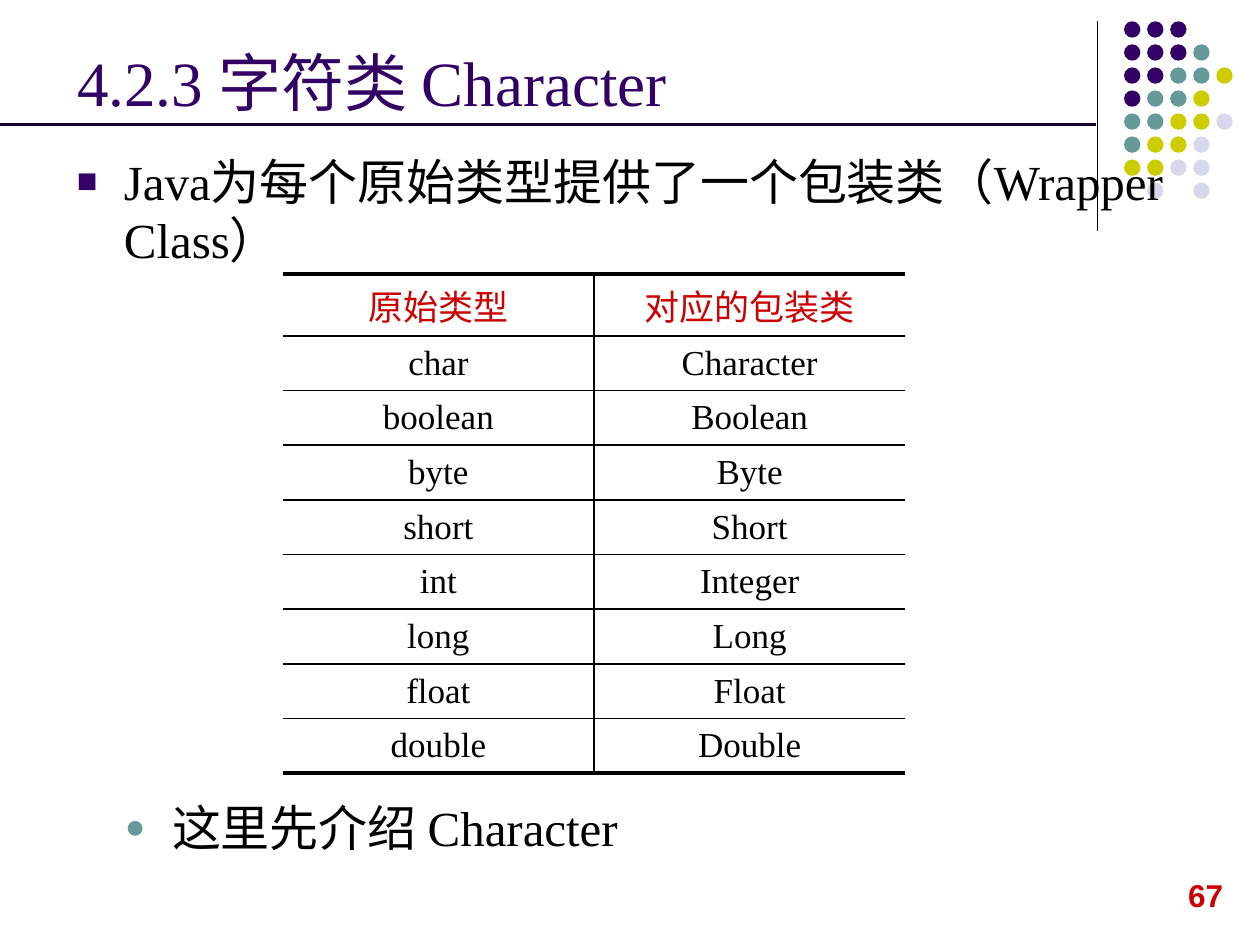
import lxml.etree
import pptx
import pptx.dml.color
import pptx.enum.shapes
import pptx.enum.text
import pptx.oxml.ns
import pptx.util

Cm = pptx.util.Cm
Pt = pptx.util.Pt
SERIF = "Times New Roman"
PURPLE, TEAL, OLIVE, LILAC = "330066", "669999", "CCCC00", "D8D8EC"
BLACK, RED = "000000", "CC0000"
DOT_COLOURS = {"P": PURPLE, "T": TEAL, "O": OLIVE, "L": LILAC}
DOT_ROWS = ["PPP", "PPPT", "PPTTO", "PTTO", "TTOOL", "TOOL", "OOLL", " L L"]
WRAPPERS = [
    ("原始类型", "对应的包装类"),
    ("char", "Character"),
    ("boolean", "Boolean"),
    ("byte", "Byte"),
    ("short", "Short"),
    ("int", "Integer"),
    ("long", "Long"),
    ("float", "Float"),
    ("double", "Double"),
]


def colour(value):
    """Turn a hex string into a colour."""
    return pptx.dml.color.RGBColor.from_string(value)


def add_element(parent, tag, **attributes):
    """Append a drawing element and return it."""
    element = lxml.etree.SubElement(parent, pptx.oxml.ns.qn(tag))
    for name, value in attributes.items():
        element.set(name, str(value))
    return element


def add_run(paragraph, text, size, value, font=SERIF, bold=False):
    """Add one formatted run."""
    run = paragraph.add_run()
    run.text = text
    run.font.name = font
    run.font.size = Pt(size)
    run.font.bold = bold
    run.font.color.rgb = colour(value)


def add_line(slide, start, end, value, width):
    """Draw a straight line without a shadow."""
    line = slide.shapes.add_connector(
        pptx.enum.shapes.MSO_CONNECTOR.STRAIGHT, *map(Cm, start + end)
    )
    line.line.color.rgb = colour(value)
    line.line.width = Pt(width)
    add_element(line._element.spPr, "a:effectLst")


def add_dots(slide, left, top, width, height):
    """Fill the box with the corner pattern of dots."""
    diameter = 0.33
    across = (width - diameter) / (max(map(len, DOT_ROWS)) - 1)
    down = (height - diameter) / (len(DOT_ROWS) - 1)
    for row, marks in enumerate(DOT_ROWS):
        for column, mark in enumerate(marks):
            if mark == " ":
                continue
            dot = slide.shapes.add_shape(
                pptx.enum.shapes.MSO_SHAPE.OVAL,
                Cm(left + column * across), Cm(top + row * down),
                Cm(diameter), Cm(diameter),
            )
            dot.shadow.inherit = False
            dot.fill.solid()
            dot.fill.fore_color.rgb = colour(DOT_COLOURS[mark])
            dot.line.fill.background()


def add_title(slide, left, top, width, height):
    """Place the title and the rule below it."""
    title = slide.shapes.title
    title.left, title.top, title.width, title.height = map(Cm, (left, top, width, height))
    title.text_frame.vertical_anchor = pptx.enum.text.MSO_ANCHOR.BOTTOM
    paragraph = title.text_frame.paragraphs[0]
    paragraph.alignment = pptx.enum.text.PP_ALIGN.LEFT
    add_run(paragraph, "4.2.3 字符类 Character", 36, PURPLE)
    rule = top + height - 0.02
    add_line(slide, (0, rule), (22.1, rule), "190033", 2.25)


def add_bullet(slide, left, top, width, height, text, symbol, value, indent):
    """Place one bulleted statement in the box."""
    box = slide.shapes.add_textbox(Cm(left), Cm(top), Cm(width), Cm(height))
    box.text_frame.word_wrap = True
    paragraph = box.text_frame.paragraphs[0]
    properties = paragraph._p.get_or_add_pPr()
    properties.set("marL", str(Cm(indent)))
    properties.set("indent", str(-Cm(0.95)))
    bullet_colour = add_element(properties, "a:buClr")
    add_element(bullet_colour, "a:srgbClr", val=value)
    add_element(properties, "a:buSzPct", val=70000)
    add_element(properties, "a:buFont", typeface="Arial")
    add_element(properties, "a:buChar", char=symbol)
    add_run(paragraph, text, 28, BLACK)


def set_border(cell, side, width):
    """Draw one black edge of a cell, or none for zero width."""
    edge = add_element(cell._tc.get_or_add_tcPr(), f"a:ln{side}", w=Pt(width))
    if width:
        fill = add_element(edge, "a:solidFill")
        add_element(fill, "a:srgbClr", val=BLACK)
    else:
        add_element(edge, "a:noFill")


def add_wrapper_table(slide, left, top, width, header_height, row_height):
    """Place the table of primitive types and wrapper classes."""
    last = len(WRAPPERS) - 1
    table = slide.shapes.add_table(
        len(WRAPPERS), 2, Cm(left), Cm(top), Cm(width),
        Cm(header_height + last * row_height),
    ).table
    table.first_row = False
    table.horz_banding = False
    for row, values in enumerate(WRAPPERS):
        table.rows[row].height = Cm(row_height if row else header_height)
        for column, text in enumerate(values):
            cell = table.cell(row, column)
            set_border(cell, "L", 1 if column else 0)
            set_border(cell, "R", 0 if column else 1)
            set_border(cell, "T", 1 if row else 2.25)
            set_border(cell, "B", 2.25 if row == last else 1)
            cell.fill.background()
            cell.vertical_anchor = pptx.enum.text.MSO_ANCHOR.MIDDLE
            paragraph = cell.text_frame.paragraphs[0]
            paragraph.alignment = pptx.enum.text.PP_ALIGN.CENTER
            add_run(paragraph, text, 20, BLACK if row else RED)


def add_page_number(slide, left, top, width, height):
    """Place the page number."""
    box = slide.shapes.add_textbox(Cm(left), Cm(top), Cm(width), Cm(height))
    box.text_frame.word_wrap = False
    add_run(box.text_frame.paragraphs[0], "67", 18, RED, "Arial", True)


def main():
    """Build and save the slide."""
    presentation = pptx.Presentation()
    presentation.slide_width = Cm(25.4)
    presentation.slide_height = Cm(19.05)
    slide = presentation.slides.add_slide(presentation.slide_layouts[5])
    add_line(slide, (22.12, 0.43), (22.12, 4.65), BLACK, 0.75)
    add_dots(slide, 22.66, 0.43, 2.19, 3.58)
    add_page_number(slide, 23.7, 17.53, 1.3, 1.02)
    add_title(slide, 1.3, 0.53, 20.96, 2)
    add_bullet(slide, 1.3, 2.92, 22.6, 2.6,
               "Java为每个原始类型提供了一个包装类（Wrapper Class）", "■", PURPLE, 0.95)
    add_bullet(slide, 1.3, 15.95, 22.6, 1.4, "这里先介绍 Character", "●", TEAL, 1.92)
    add_wrapper_table(slide, 5.7, 5.52, 12.55, 1.25, 1.04)
    presentation.save("out.pptx")


if __name__ == "__main__":
    main()
